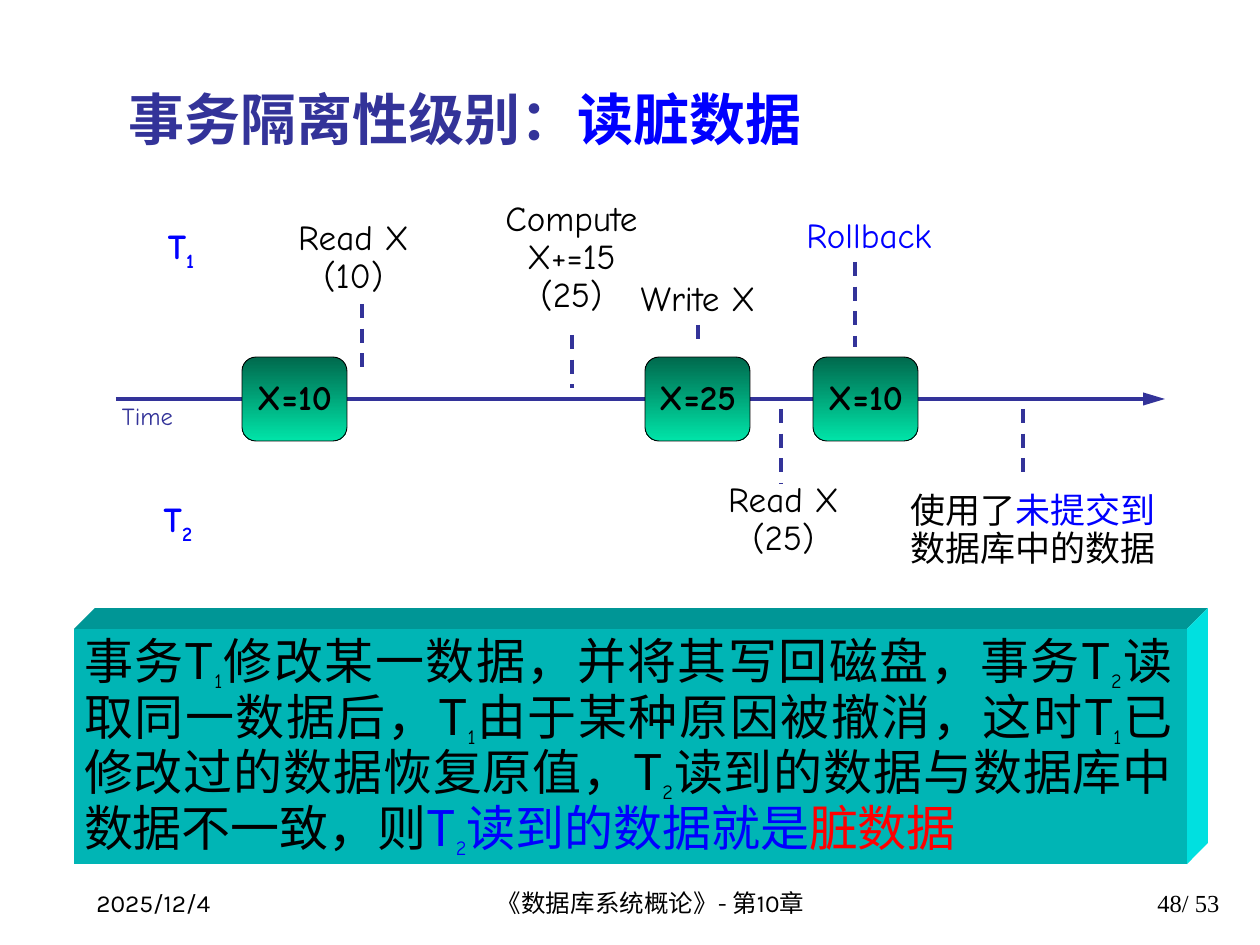
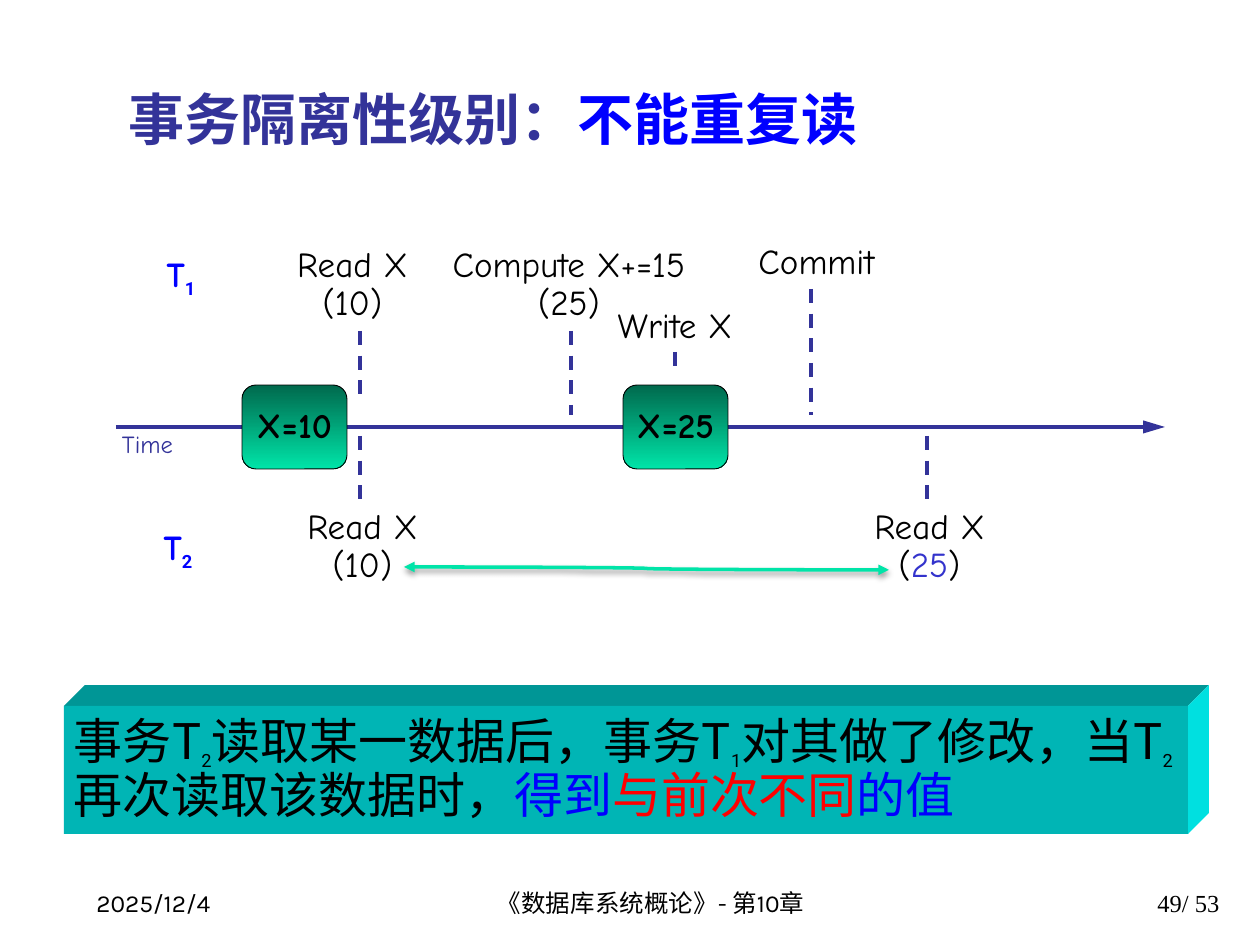
from lxml.etree import SubElement
from pptx import Presentation
from pptx.dml.color import RGBColor
from pptx.enum.dml import MSO_LINE
from pptx.enum.shapes import MSO_CONNECTOR, MSO_SHAPE
from pptx.enum.text import MSO_ANCHOR, MSO_AUTO_SIZE, PP_ALIGN
from pptx.oxml.ns import qn
from pptx.util import Emu, Inches, Pt

INK, NAVY, BLUE, RED, VIOLET = "000000", "333399", "0000FF", "FF0000", "3333CC"
MINT, DEEP_GREEN = "00E4A8", "00694D"
BAR_FRONT, BAR_TOP, BAR_SIDE = "00B5B5", "009696", "00E0E0"
HAND, HEAD, CJK, SERIF = "Comic Neue", "Karla", "Noto Sans CJK JP", "Times New Roman"
BAR_DEPTH = 21


def px(n):
    """Turn pixels at 126 to the inch into EMU."""
    return Emu(round(n * 914400 / 126))


def rgb(value):
    """Turn a hex string into a colour."""
    return RGBColor.from_string(value)


def add_run(p, text, size, font, color, bold=False, sub=False):
    """Add one formatted run to a paragraph."""
    r = p.add_run()
    r.text = text
    r.font.size, r.font.bold, r.font.name = Pt(size), bold, font
    r.font.color.rgb = rgb(color)
    rpr = r._r.get_or_add_rPr()
    SubElement(rpr, qn("a:ea")).set("typeface", CJK)
    if sub:
        rpr.set("baseline", "-25000")


def add_rich(p, text, size, font, color, sub_style, bold=False):
    """Add text in which an underscore makes the next character a subscript."""
    first, *rest = text.split("_")
    add_run(p, first, size, font, color, bold)
    for part in rest:
        add_run(p, part[0], *sub_style, color, bold, sub=True)
        if part[1:]:
            add_run(p, part[1:], size, font, color, bold)


def set_frame(shape, anchor, wrap):
    """Prepare the text frame of a shape and return it."""
    tf = shape.text_frame
    tf.auto_size = MSO_AUTO_SIZE.NONE
    tf.word_wrap, tf.vertical_anchor = wrap, anchor
    return tf


def add_label(s, box, lines, size=20, color=INK, align=PP_ALIGN.CENTER):
    """Add a label; a line is a string or a list of (text, colour) runs."""
    sp = s.shapes.add_textbox(*map(px, box))
    tf = set_frame(sp, MSO_ANCHOR.MIDDLE, False)
    for i, line in enumerate(lines):
        p = tf.add_paragraph() if i else tf.paragraphs[0]
        p.alignment, p.line_spacing = align, 0.9
        for text, tint in [(line, color)] if isinstance(line, str) else line:
            add_run(p, text, size, HAND, tint)
    return sp


def add_line(s, start, end, color, width, kind=MSO_CONNECTOR.STRAIGHT):
    """Add a connector without a shadow."""
    c = s.shapes.add_connector(kind, *map(px, (*start, *end)))
    c.line.color.rgb, c.line.width = rgb(color), Pt(width)
    SubElement(c._element.spPr, qn("a:effectLst"))
    return c


def add_arrowhead(c, end, length="med"):
    """Put a triangle on the headEnd or tailEnd of a connector."""
    head = SubElement(c.line._get_or_add_ln(), qn(f"a:{end}"))
    for key, value in (("type", "triangle"), ("w", "med"), ("len", length)):
        head.set(key, value)


def add_dash(s, x, top, bottom, label=None):
    """Add a dashed marker, joined to the bottom of a label if one is given."""
    c = add_line(s, (x, top), (x, bottom), NAVY, 2)
    c.line.dash_style = MSO_LINE.DASH
    if label is not None:
        c.begin_connect(label, 2)


def add_value(s, x, axis_y, text):
    """Add a rounded box with the value of X on the time axis."""
    sp = s.shapes.add_shape(MSO_SHAPE.ROUNDED_RECTANGLE, *map(px, (x, axis_y - 42, 105, 84)))
    sp.shadow.inherit = False
    sp.fill.gradient()
    sp.fill.gradient_angle = 270
    for stop, color in zip(sp.fill.gradient_stops, (DEEP_GREEN, MINT)):
        stop.color.rgb = rgb(color)
    sp.line.color.rgb, sp.line.width = rgb(INK), Pt(0.5)
    p = set_frame(sp, MSO_ANCHOR.MIDDLE, False).paragraphs[0]
    p.alignment, p.line_spacing = PP_ALIGN.CENTER, 0.9
    add_run(p, text, 20, HAND, INK, True)


def add_timeline(s, y, sub_style):
    """Add the time axis with the names of both transactions."""
    add_label(s, (107, y - 1, 81, 39), ["Time"], 14, NAVY)
    for x, top, name in ((149, y - 177, "T_1"), (146, y + 96, "T_2")):
        sp = s.shapes.add_textbox(*map(px, (x, top, 64, 50)))
        p = set_frame(sp, MSO_ANCHOR.MIDDLE, False).paragraphs[0]
        p.alignment, p.line_spacing = PP_ALIGN.CENTER, 0.9
        add_rich(p, name, 20, HAND, BLUE, sub_style, True)
    add_arrowhead(add_line(s, (116, y), (1165, y), NAVY, 2.5), "tailEnd", "lg")


def add_face(s, points, color):
    """Add one slanted face of the summary bar."""
    start, *rest = [(px(x), px(y)) for x, y in points]
    fb = s.shapes.build_freeform(*start, scale=1.0)
    fb.add_line_segments(rest)
    paint(fb.convert_to_shape(), color)


def paint(sp, color):
    """Give a shape a plain fill with no line or shadow."""
    sp.shadow.inherit = False
    sp.fill.solid()
    sp.fill.fore_color.rgb = rgb(color)
    sp.line.fill.background()


def add_summary(s, x, y, w, h, parts, sub_style):
    """Add the raised bar with the explanation."""
    d, right = BAR_DEPTH, x + w
    add_face(s, [(x, y), (x + d, y - d), (right + d, y - d), (right, y)], BAR_TOP)
    add_face(s, [(right, y), (right + d, y - d), (right + d, y + h - d), (right, y + h)], BAR_SIDE)
    sp = s.shapes.add_shape(MSO_SHAPE.RECTANGLE, *map(px, (x, y, w, h)))
    paint(sp, BAR_FRONT)
    tf = set_frame(sp, MSO_ANCHOR.MIDDLE, True)
    tf.margin_left = tf.margin_top = tf.margin_bottom = px(10)
    tf.margin_right = px(15)
    p = tf.paragraphs[0]
    p.alignment, p.line_spacing = PP_ALIGN.JUSTIFY, 0.9
    for text, color in parts:
        add_rich(p, text, 28, CJK, color, sub_style)


def add_base(prs, topic, number):
    """Add a slide with its title and footers."""
    s = prs.slides.add_slide(prs.slide_layouts[5])
    title = s.shapes.title
    title.left, title.top, title.width, title.height = map(px, (116, 53, 1116, 105))
    p = set_frame(title, MSO_ANCHOR.BOTTOM, True).paragraphs[0]
    p.alignment = PP_ALIGN.LEFT
    add_run(p, "事务隔离性级别：", 32, HEAD, NAVY, True)
    add_run(p, topic, 32, HEAD, BLUE, True)
    footers = (
        (84, 262, "2025/12/4", HEAD, PP_ALIGN.LEFT),
        (451, 399, "《数据库系统概论》- 第10章", HEAD, PP_ALIGN.CENTER),
        (970, 262, f"{number}/ 53", SERIF, PP_ALIGN.RIGHT),
    )
    for x, w, text, font, align in footers:
        sp = s.shapes.add_textbox(*map(px, (x, 861, w, 63)))
        p = set_frame(sp, MSO_ANCHOR.BOTTOM, True).paragraphs[0]
        p.alignment = align
        add_run(p, text, 14, font, INK)
    return s


def add_dirty_read(prs):
    """Build the slide on dirty reads."""
    s, y, sub_style = add_base(prs, "读脏数据", 48), 399, (20, HAND)
    add_timeline(s, y, sub_style)
    for x, text in ((242, "X=10"), (645, "X=25"), (813, "X=10")):
        add_value(s, x, y, text)
    add_label(s, (278, 214, 151, 88), ["Read X", "(10)"])
    add_label(s, (489, 195, 165, 126), ["Compute", "X+=15", "(25)"])
    write = add_label(s, (618, 275, 160, 50), ["Write X"])
    add_label(s, (789, 212, 160, 50), ["Rollback"], color=BLUE)
    add_label(s, (708, 476, 151, 88), ["Read X", "(25)"])
    add_label(s, (898, 486, 272, 90),
              [[("使用了", INK), ("未提交到", BLUE)], "数据库中的数据"], align=PP_ALIGN.LEFT)
    for x, top, bottom, label in (
        (362, 304, 367, None), (572, 335, 388, None), (698, 325, 347, write),
        (855, 262, 347, None), (781, 409, 483, None), (1023, 409, 473, None),
    ):
        add_dash(s, x, top, bottom, label)
    add_summary(s, 74, 629, 1113, 235, [
        ("事务T_1修改某一数据，并将其写回磁盘，事务T_2读取同一数据后，T_1由于某种原因被撤消，"
         "这时T_1已修改过的数据恢复原值，T_2读到的数据与数据库中数据不一致，则", INK),
        ("T_2读到的数据就是", BLUE), ("脏数据", RED)], sub_style)


def add_unrepeatable_read(prs):
    """Build the slide on unrepeatable reads."""
    s, y, sub_style = add_base(prs, "不能重复读", 49), 427, (18, "Roboto")
    add_timeline(s, y, sub_style)
    for x, text in ((242, "X=10"), (623, "X=25")):
        add_value(s, x, y, text)
    add_label(s, (277, 241, 151, 88), ["Read X", "(10)"])
    add_label(s, (433, 241, 272, 88), ["Compute X+=15", "(25)"])
    write = add_label(s, (595, 302, 160, 50), ["Write X"])
    add_label(s, (744, 238, 145, 50), ["Commit"])
    add_label(s, (287, 503, 151, 88), ["Read X", "(10)"])
    add_label(s, (854, 503, 151, 88), ["Read X", [("(", INK), ("25", VIOLET), (")", INK)]])
    for x, top, bottom, label in (
        (360, 331, 394, None), (571, 331, 415, None), (675, 352, 373, write),
        (811, 289, 415, None), (360, 436, 509, None), (927, 436, 509, None),
    ):
        add_dash(s, x, top, bottom, label)
    add_summary(s, 64, 706, 1124, 128, [
        ("事务T_2读取某一数据后，事务T_1对其做了修改，当T_2再次读取该数据时，", INK),
        ("得到", BLUE), ("与前次不同", RED), ("的值", BLUE)], sub_style)
    curve = add_line(s, (404, 567), (889, 570), MINT, 2, MSO_CONNECTOR.CURVE)
    for end in ("headEnd", "tailEnd"):
        add_arrowhead(curve, end)
    shadow = SubElement(curve._element.spPr.find(qn("a:effectLst")), qn("a:outerShdw"))
    for key, value in (("blurRad", Pt(3.1)), ("dist", Pt(1.6)), ("dir", 5400000)):
        shadow.set(key, str(int(value)))
    tint = SubElement(shadow, qn("a:srgbClr"))
    tint.set("val", INK)
    SubElement(tint, qn("a:alpha")).set("val", "38000")


def main():
    """Build both slides and save them."""
    prs = Presentation()
    prs.slide_width, prs.slide_height = Inches(10), Inches(7.5)
    add_dirty_read(prs)
    add_unrepeatable_read(prs)
    prs.save("out.pptx")


if __name__ == "__main__":
    main()
